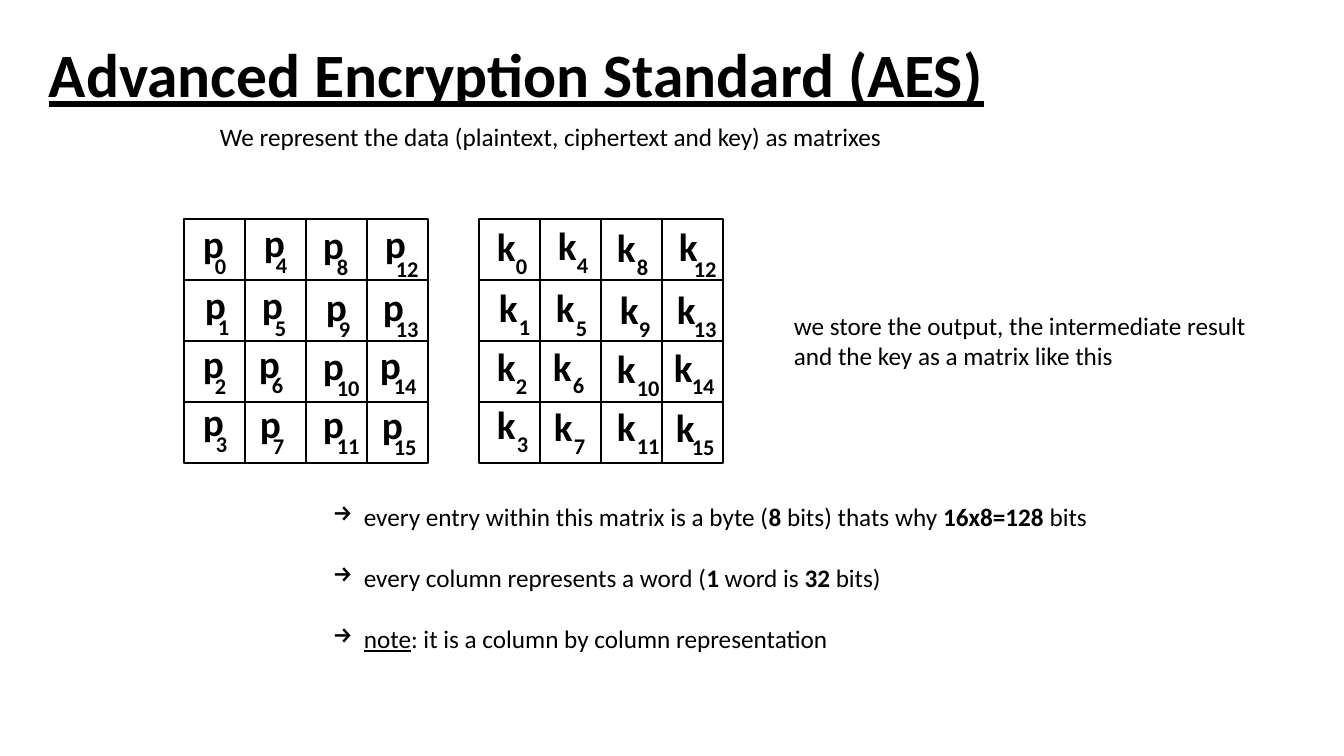
import pptx
import pptx.util
import pptx.dml.color
import pptx.enum.shapes
import pptx.enum.text
import pptx.oxml

INK = "000000"
PAPER = "FFFFFF"
CELL = 61
TOP = 219
SIDE = 4

# Letter x, y and index x, y for each byte, column by column
SPOTS = [
    (193, 214, 205, 247), (195, 275, 208, 308),
    (193, 334, 205, 367), (193, 392, 206, 425),
    (254, 213, 266, 246), (252, 275, 265, 309),
    (249, 334, 262, 366), (250, 394, 263, 427),
    (313, 215, 327, 248), (316, 277, 329, 310),
    (313, 336, 327, 369), (313, 394, 327, 427),
    (375, 214, 386, 250), (373, 277, 386, 310),
    (370, 335, 384, 367), (372, 395, 384, 428),
]


def px(n):
    return pptx.util.Emu(round(n * 914400 / 100.8))


def color(code):
    return pptx.dml.color.RGBColor.from_string(code)


class Page:
    def __init__(self, deck, font):
        self.slide = deck.slides.add_slide(deck.slide_layouts[6])
        self.font = font

    def run(self, para, words, size, style=""):
        """Style letters: b for bold, u for underlined."""
        run = para.add_run()
        run.text = words
        run.font.name = self.font
        run.font.size = pptx.util.Pt(size)
        run.font.bold = "b" in style
        run.font.underline = "u" in style
        run.font.color.rgb = color(INK)

    def text(self, x, y, w, h, lines, size, wrap=False):
        """Each line is a list of (words, style) runs."""
        box = self.slide.shapes.add_textbox(px(x), px(y), px(w), px(h))
        frame = box.text_frame
        frame.word_wrap = wrap
        if not wrap:
            frame.auto_size = pptx.enum.text.MSO_AUTO_SIZE.SHAPE_TO_FIT_TEXT
        for i, line in enumerate(lines):
            para = frame.add_paragraph() if i else frame.paragraphs[0]
            for words, style in line:
                self.run(para, words, size, style)
        return frame

    def title(self, x, y, w, h, words):
        frame = self.text(x, y, w, h, [[(words, "bu")]], 44, wrap=True)
        frame.vertical_anchor = pptx.enum.text.MSO_ANCHOR.MIDDLE
        frame.paragraphs[0].line_spacing = 0.9

    def list(self, x, y, w, h, lines, size, gap):
        frame = self.text(x, y, w, h, lines, size)
        for i, para in enumerate(frame.paragraphs):
            if i:
                para.space_before = pptx.util.Pt(gap)
            props = para._p.get_or_add_pPr()
            props.set("marL", str(px(31)))
            props.set("indent", str(-px(31)))
            mark = pptx.oxml.parse_xml(
                '<a:buChar xmlns:a="http://schemas.openxmlformats.org/'
                'drawingml/2006/main" char="→"/>')
            props.append(mark)

    def cell(self, x, y):
        kind = pptx.enum.shapes.MSO_SHAPE.RECTANGLE
        box = self.slide.shapes.add_shape(kind, px(x), px(y), px(CELL), px(CELL))
        box.shadow.inherit = False
        box.fill.solid()
        box.fill.fore_color.rgb = color(PAPER)
        box.line.color.rgb = color(INK)
        box.line.width = pptx.util.Pt(1)

    def grid(self, left):
        for row in range(SIDE):
            for col in range(SIDE):
                self.cell(left + col * CELL, TOP + row * CELL)

    def bytes(self, name, wide, shift, drop, subs):
        """Subs holds the index shift for each column."""
        for n, (x, y, subx, suby) in enumerate(SPOTS):
            self.text(x + shift, y + drop, wide, 57, [[(name, "b")]], 28)
            self.text(subx + subs[n // SIDE], suby, 32 if n < 10 else 43, 37,
                      [[(str(n), "b")]], 16)


def main():
    deck = pptx.Presentation()
    deck.slide_width = px(1344)
    deck.slide_height = px(756)
    page = Page(deck, "Calibri")

    # Heading
    page.title(39, 5, 1159, 146, "Advanced Encryption Standard (AES)")
    page.text(210, 116, 689, 72, [[(
        "We represent the data (plaintext, ciphertext and key) as matrixes",
        "")]], 18)

    # Plaintext matrix
    page.grid(184)
    page.bytes("p", 41, 0, 0, [0] * SIDE)

    # Key matrix
    page.grid(479)
    page.bytes("k", 39, 294, 3, [301, 301, 300, 298])

    # Remark beside the matrices
    page.text(784, 305, 482, 72, [
        [("we store the output, the intermediate result", "")],
        [("and the key as a matrix like this", "")],
    ], 18)

    # Facts below the matrices
    page.list(323, 496, 783, 163, [
        [("every entry within this matrix is a byte (", ""), ("8", "b"),
         (" bits) thats why ", ""), ("16x8=128", "b"), (" bits", "")],
        [("every column represents a word (", ""), ("1", "b"),
         (" word is ", ""), ("32", "b"), (" bits)", "")],
        [("note", "u"), (": it is a column by column representation", "")],
    ], 18, 22)

    deck.save("out.pptx")


if __name__ == "__main__":
    main()
